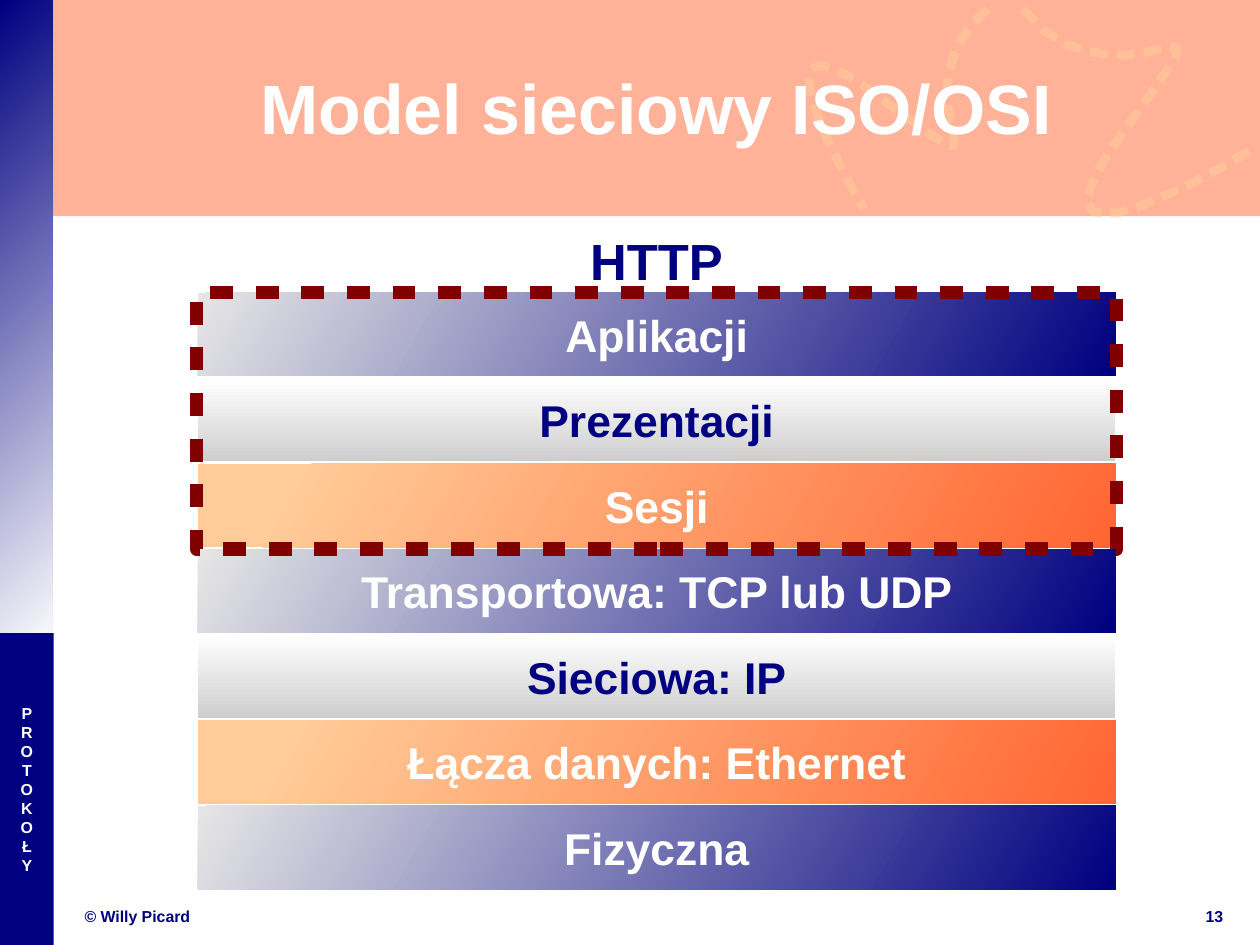
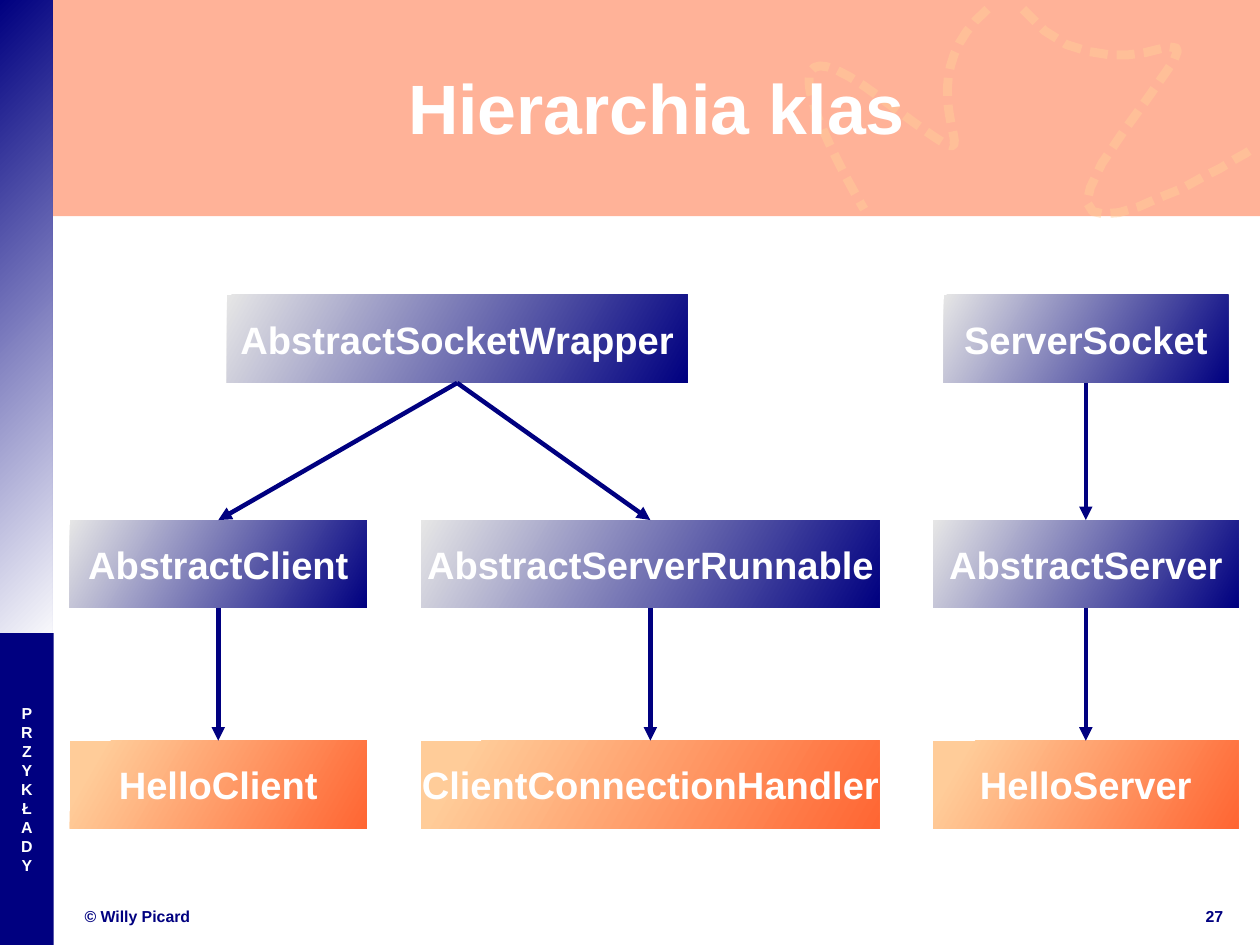
from dataclasses import dataclass

from lxml.etree import SubElement
from pptx import Presentation
from pptx.dml.color import RGBColor
from pptx.enum.shapes import MSO_CONNECTOR, MSO_SHAPE
from pptx.enum.text import MSO_ANCHOR, PP_ALIGN
from pptx.oxml.ns import qn
from pptx.util import Cm, Inches, Pt


@dataclass(frozen=True)
class Gradient:
    start: str
    end: str
    angle: int
    offset: float = 0.0


@dataclass(frozen=True)
class Theme:
    font: str = "Arial"
    navy: str = "000080"
    white: str = "FFFFFF"
    orange: str = "FF6633"
    peach: str = "FFCC99"
    maroon: str = "800000"
    title: int = 44
    heading: int = 32
    layer: int = 28
    class_name: int = 24
    small: int = 10
    side: Gradient = Gradient("000080", "FFFFFF", 45)
    blue: Gradient = Gradient("E6E6E6", "000080", 30)
    silver: Gradient = Gradient("FFFFFF", "CECECE", 90)
    warm: Gradient = Gradient("FFCC99", "FF6633", 30, 0.1)


T = Theme()
PAGE_W, PAGE_H = Cm(28), Cm(21)
SLIDE_W, SLIDE_H = PAGE_W.inches, PAGE_H.inches
SIDE_W = 0.47
SIDE_SPLIT = 5.54
FOOTER_TOP, FOOTER_H = 7.92, 0.19

LOOP_START = (8.64, 0.08)
LOOP_CURVES = [
    ((7.73, 0.86), (9.04, 1.85), (7.71, 0.86)),
    ((6.38, -0.14), (7.56, 1.83), (7.56, 1.83)),
]
WAVE = [
    (8.95, 0.08), (9.14, 0.27), (9.33, 0.39), (9.52, 0.45), (9.71, 0.48),
    (9.87, 0.48), (10.02, 0.46), (10.14, 0.43), (10.23, 0.41), (10.29, 0.42),
    (10.3, 0.45), (10.27, 0.53), (10.18, 0.66), (10.04, 0.86), (9.83, 1.15),
    (9.64, 1.43), (9.54, 1.64), (9.51, 1.77), (9.56, 1.85), (9.65, 1.87),
    (9.79, 1.86), (9.96, 1.81), (10.14, 1.73), (10.34, 1.65), (10.52, 1.55),
    (10.68, 1.47), (10.81, 1.39), (10.9, 1.34), (10.93, 1.32), (10.94, 1.32),
]

LAYERS = [
    ("Aplikacji", T.blue, T.white),
    ("Prezentacji", T.silver, T.navy),
    ("Sesji", T.warm, T.white),
    ("Transportowa: TCP lub UDP", T.blue, T.white),
    ("Sieciowa: IP", T.silver, T.navy),
    ("Łącza danych: Ethernet", T.warm, T.white),
    ("Fizyczna", T.blue, T.white),
]
LAYER_LEFT, LAYER_TOP, LAYER_W, LAYER_H = 1.73, 2.56, 8.03, 0.73
LAST_LAYER_TOP = 7.05
LAYER_PITCH = (LAST_LAYER_TOP - LAYER_TOP) / (len(LAYERS) - 1)

CLASS_H = 0.77
CLASS_ROWS = (2.58, 4.55, 6.48)
# name: (centre, row, width, fill)
CLASSES = {
    "AbstractSocketWrapper": (4.0, 0, 4.03, T.blue),
    "ServerSocket": (9.5, 0, 2.49, T.blue),
    "AbstractClient": (1.91, 1, 2.6, T.blue),
    "AbstractServerRunnable": (5.69, 1, 4.01, T.blue),
    "AbstractServer": (9.5, 1, 2.67, T.blue),
    "HelloClient": (1.91, 2, 2.6, T.warm),
    "ClientConnectionHandler": (5.69, 2, 4.01, T.warm),
    "HelloServer": (9.5, 2, 2.67, T.warm),
}
INHERITANCE = [
    ("AbstractSocketWrapper", "AbstractClient"),
    ("AbstractSocketWrapper", "AbstractServerRunnable"),
    ("ServerSocket", "AbstractServer"),
    ("AbstractClient", "HelloClient"),
    ("AbstractServerRunnable", "ClientConnectionHandler"),
    ("AbstractServer", "HelloServer"),
]


def rgb(color):
    return RGBColor.from_string(color)


def set_alpha(fill, percent):
    color = fill._xPr.find(".//" + qn("a:srgbClr"))
    SubElement(color, qn("a:alpha"), val=str(percent * 1000))


def set_fill(sp, fill):
    """Apply a Gradient, a plain colour, or no fill for None."""
    if fill is None:
        sp.fill.background()
    elif isinstance(fill, Gradient):
        sp.fill.gradient()
        sp.fill.gradient_angle = 360 - fill.angle
        first, last = sp.fill.gradient_stops
        first.color.rgb, first.position = rgb(fill.start), fill.offset
        last.color.rgb, last.position = rgb(fill.end), 1.0
    else:
        sp.fill.solid()
        sp.fill.fore_color.rgb = rgb(fill)


def set_dashes(sp, color, width, dash, gap):
    """Dash and gap are percentages of the line width."""
    sp.line.color.rgb = rgb(color)
    sp.line.width = Pt(width)
    dashes = SubElement(sp.line._get_or_add_ln(), qn("a:custDash"))
    SubElement(dashes, qn("a:ds"), d=str(dash * 1000), sp=str(gap * 1000))


def set_text(sp, lines, size, color, align=PP_ALIGN.CENTER, wrap=False, spacing=None):
    tf = sp.text_frame
    frame_format = {
        "margin_left": 0, "margin_top": 0, "margin_right": 0, "margin_bottom": 0,
        "vertical_anchor": MSO_ANCHOR.MIDDLE, "word_wrap": wrap,
    }
    for name, value in frame_format.items():
        setattr(tf, name, value)
    font_format = {"name": T.font, "size": Pt(size), "bold": True}
    for i, line in enumerate(lines):
        p = tf.paragraphs[0] if i == 0 else tf.add_paragraph()
        p.alignment = align
        p.line_spacing = spacing
        r = p.add_run()
        r.text = line
        for name, value in font_format.items():
            setattr(r.font, name, value)
        r.font.color.rgb = rgb(color)


def add_box(s, x, y, w, h, fill=None):
    sp = s.shapes.add_shape(MSO_SHAPE.RECTANGLE, *map(Inches, (x, y, w, h)))
    sp.shadow.inherit = False
    sp.line.fill.background()
    set_fill(sp, fill)
    return sp


def add_label(s, x, y, w, h, lines, size, color, **options):
    sp = s.shapes.add_textbox(*map(Inches, (x, y, w, h)))
    set_text(sp, lines, size, color, wrap=True, **options)


def curve_points(start, curves, steps=24):
    """Sample a chain of cubic curves, each given as two controls and an end."""
    points = [start]
    for c1, c2, end in curves:
        for i in range(1, steps + 1):
            t = i / steps
            u = 1 - t
            points.append(tuple(
                u**3 * a + 3 * u * u * t * b + 3 * u * t * t * c + t**3 * d
                for a, b, c, d in zip(start, c1, c2, end)))
        start = end
    return points


def add_ribbon(s, points):
    points = [(Inches(x), Inches(y)) for x, y in points]
    builder = s.shapes.build_freeform(*points[0])
    builder.add_line_segments(points[1:], close=False)
    sp = builder.convert_to_shape()
    sp.shadow.inherit = False
    set_fill(sp, None)
    set_dashes(sp, T.peach, 5.67, 200, 100)
    set_alpha(sp.line.fill, 50)


def add_arrow(s, parent, child):
    c = s.shapes.add_connector(MSO_CONNECTOR.STRAIGHT, 0, 0, 0, 0)
    c.begin_connect(parent, 2)
    c.end_connect(child, 0)
    c.line.color.rgb = rgb(T.navy)
    c.line.width = Pt(2.83)
    SubElement(c.line._get_or_add_ln(), qn("a:tailEnd"), type="triangle")
    SubElement(c._element.spPr, qn("a:effectLst"))


def add_base_slide(prs, title, section, number):
    """Add a slide with the shared bands, title, section name and footer."""
    s = prs.slides.add_slide(prs.slide_layouts[6])
    band = add_box(s, 0, 0, SLIDE_W, 1.89, T.orange)
    set_alpha(band.fill, 50)
    add_box(s, 0, 0, 0.46, 5.72, T.side)
    side = add_box(s, 0, SIDE_SPLIT, SIDE_W, SLIDE_H - SIDE_SPLIT, T.navy)
    set_text(side, section, T.small, T.white, spacing=Pt(12))
    add_ribbon(s, curve_points(LOOP_START, LOOP_CURVES))
    add_ribbon(s, WAVE)
    add_label(s, SIDE_W, 0.24, SLIDE_W - SIDE_W, 1.38, [title], T.title, T.white)
    add_label(s, 0.74, FOOTER_TOP, 4.47, FOOTER_H, ["© Willy Picard"],
              T.small, T.navy, align=PP_ALIGN.LEFT)
    add_label(s, 10.46, FOOTER_TOP, 0.33, FOOTER_H, [str(number)], T.small, T.navy)
    return s


def add_layer_stack(s):
    for i, (name, fill, color) in enumerate(LAYERS):
        sp = add_box(s, LAYER_LEFT, LAYER_TOP + i * LAYER_PITCH, LAYER_W, LAYER_H, fill)
        set_text(sp, [name], T.layer, color)
    frame = add_box(s, LAYER_LEFT - 0.01, LAYER_TOP, LAYER_W + 0.02, 3 * LAYER_PITCH)
    set_dashes(frame, T.maroon, 8.5, 169, 169)
    add_label(s, 4.96, 2.03, 1.57, 0.5, ["HTTP"], T.heading, T.navy)


def add_class_tree(s):
    boxes = {}
    for name, (centre, row, width, fill) in CLASSES.items():
        sp = add_box(s, centre - width / 2, CLASS_ROWS[row], width, CLASS_H, fill)
        set_text(sp, [name], T.class_name, T.white)
        boxes[name] = sp
    for parent, child in INHERITANCE:
        add_arrow(s, boxes[parent], boxes[child])


def main():
    prs = Presentation()
    prs.slide_width, prs.slide_height = PAGE_W, PAGE_H
    add_layer_stack(add_base_slide(prs, "Model sieciowy ISO/OSI", "PROTOKOŁY", 13))
    add_class_tree(add_base_slide(prs, "Hierarchia klas", "PRZYKŁADY", 27))
    prs.save("out.pptx")


if __name__ == "__main__":
    main()
